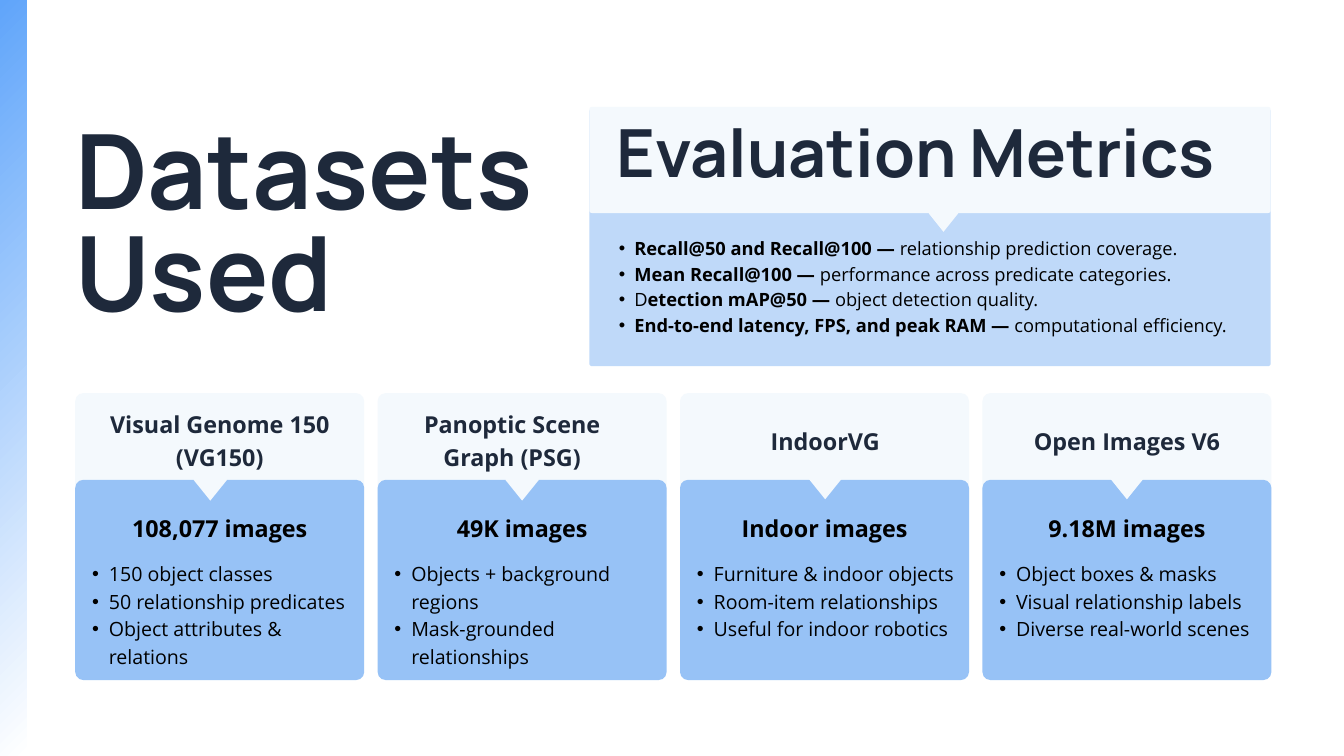
import lxml.etree
import pptx
import pptx.dml.color
import pptx.enum.shapes
import pptx.enum.text
import pptx.oxml.ns
import pptx.util
from pptx.util import Inches

COLORS = {
    "ink": "1E293B", "black": "000000", "pale": "F4F9FD",
    "card": "97C2F6", "metrics": "BFD9F9", "accent": "60A5FA", "white": "FFFFFF",
}
SHAPES = pptx.enum.shapes.MSO_SHAPE
ALIGN = pptx.enum.text.PP_ALIGN
TITLE = {"name": "Manrope", "size": 111.2, "bold": True, "color": "ink", "spacing": 108.9}
SUBTITLE = {**TITLE, "size": 71.1, "spacing": 69.7}
HEADING = {"name": "Open Sans", "size": 25, "bold": True, "color": "ink", "spacing": 35,
           "alignment": ALIGN.CENTER}
COUNT = {**HEADING, "color": "black"}
LIST = {"name": "Open Sans", "size": 21, "bold": False, "color": "black", "spacing": 29.4,
        "indent": 0.25}
METRICS = {**LIST, "size": 19.6, "spacing": 27.4, "indent": 0.23}

presentation = pptx.Presentation()
presentation.slide_width = Inches(20)
presentation.slide_height = Inches(11.25)
slide = presentation.slides.add_slide(presentation.slide_layouts.get_by_name("Comparison"))
title, *list_placeholders = slide.placeholders


def add_block(kind, left, top, width, height, color, radius=None):
    """Add a borderless filled shape, with its corner radius in inches."""
    shape = slide.shapes.add_shape(kind, Inches(left), Inches(top), Inches(width), Inches(height))
    shape.shadow.inherit = False
    shape.line.fill.background()
    shape.fill.solid()
    shape.fill.fore_color.rgb = pptx.dml.color.RGBColor.from_string(COLORS[color])
    if radius:
        shape.adjustments[0] = radius / min(width, height)
    return shape


def write_text(box, paragraphs, style, shape=None):
    """Write paragraphs, each a list of (text, bold) runs, in a new text box or a placeholder."""
    left, top, width, height = map(Inches, box)
    if shape is None:
        shape = slide.shapes.add_textbox(left, top, width, height)
    else:
        slide.shapes._spTree.append(shape._element)  # bring in front of the panels
        shape.left, shape.top, shape.width, shape.height = left, top, width, height
    frame_format = {
        "word_wrap": True, "auto_size": pptx.enum.text.MSO_AUTO_SIZE.NONE,
        "vertical_anchor": pptx.enum.text.MSO_ANCHOR.TOP,
        "margin_left": 0, "margin_top": 0, "margin_right": 0, "margin_bottom": 0,
    }
    for name, value in frame_format.items():
        setattr(shape.text_frame, name, value)

    for index, runs in enumerate(paragraphs):
        frame = shape.text_frame
        paragraph = frame.add_paragraph() if index else frame.paragraphs[0]
        if "indent" in style:
            properties = paragraph._p.get_or_add_pPr()
            properties.set("marL", str(Inches(2 * style["indent"])))
            properties.set("indent", str(-Inches(style["indent"])))
            bullet_font = lxml.etree.SubElement(properties, pptx.oxml.ns.qn("a:buFont"))
            bullet_font.set("typeface", "Arial")
            bullet = lxml.etree.SubElement(properties, pptx.oxml.ns.qn("a:buChar"))
            bullet.set("char", "•")
        paragraph_format = {
            "alignment": style.get("alignment", ALIGN.LEFT),
            "line_spacing": pptx.util.Pt(style["spacing"]),
            "space_before": 0, "space_after": 0,
        }
        for name, value in paragraph_format.items():
            setattr(paragraph, name, value)
        for text, bold in runs:
            run = paragraph.add_run()
            run.text = text
            font_format = {"name": style["name"], "size": pptx.util.Pt(style["size"]), "bold": bold}
            for name, value in font_format.items():
                setattr(run.font, name, value)
            run.font.color.rgb = pptx.dml.color.RGBColor.from_string(COLORS[style["color"]])


# Side band
band = add_block(SHAPES.RECTANGLE, 0, 0, 0.4, 11.25, "accent")
band.fill.gradient()
band.fill.gradient_angle = 315
for stop, color in zip(band.fill.gradient_stops, ("accent", "white")):
    stop.color.rgb = pptx.dml.color.RGBColor.from_string(COLORS[color])

write_text((1.12, 1.92, 7.14, 3.23), [[("Datasets Used", True)]], TITLE, title)

# Evaluation metrics
add_block(SHAPES.ROUNDED_RECTANGLE, 8.77, 1.62, 10.14, 3.83, "metrics", 0.04)
add_block(SHAPES.ROUNDED_RECTANGLE, 8.77, 1.59, 10.14, 1.58, "pale", 0.04)
add_block(SHAPES.DIAMOND, 13.82, 2.9, 0.44, 0.55, "pale")
write_text((9.18, 1.87, 9.31, 1.1), [[("Evaluation Metrics", True)]], SUBTITLE)
metrics = [
    [("Recall@50 and Recall@100 — ", True), ("relationship prediction coverage.", False)],
    [("Mean Recall@100 — ", True), ("performance across predicate categories.", False)],
    [("D", False), ("etection mAP@50 — ", True), ("object detection quality.", False)],
    [("End-to-end latency, FPS, and peak RAM — ", True), ("computational efficiency.", False)],
]
write_text((8.98, 3.48, 9.93, 1.5), metrics, METRICS)

# Dataset cards: heading, heading centre, heading lines, pointer centre (x, y), count, facts
datasets = [
    ("Visual Genome 150 (VG150)", 3.27, 2, (3.13, 7.14), "108,077 images",
     ["150 object classes", "50 relationship predicates", "Object attributes & relations"]),
    ("Panoptic Scene Graph (PSG)", 7.62, 2, (7.77, 7.14), "49K images",
     ["Objects + background regions", "Mask-grounded relationships"]),
    ("IndoorVG", 12.28, 1, (12.28, 7.12), "Indoor images",
     ["Furniture & indoor objects", "Room-item relationships", "Useful for indoor robotics"]),
    ("Open Images V6", 16.77, 1, (16.77, 7.12), "9.18M images",
     ["Object boxes & masks", "Visual relationship labels", "Diverse real-world scenes"]),
]
card_width = 4.3
for index, (heading, center, lines, pointer, count, facts) in enumerate(datasets):
    left = 1.12 + 4.5 * index
    add_block(SHAPES.ROUNDED_RECTANGLE, left, 5.85, card_width, 1.78, "pale", 0.12)
    add_block(SHAPES.ROUNDED_RECTANGLE, left, 7.14, card_width, 2.98, "card", 0.12)
    add_block(SHAPES.DIAMOND, pointer[0] - 0.25, pointer[1] - 0.31, 0.5, 0.62, "pale")
    heading_top = 6.04 if lines == 2 else 6.28
    write_text((center - 1.7, heading_top, 3.4, 0.47 * lines), [[(heading, True)]], HEADING)
    write_text((left + 0.8, 7.58, 2.7, 0.46), [[(count, True)]], COUNT)
    write_text((left, 8.31, card_width, 1.61), [[(fact, False)] for fact in facts], LIST,
               list_placeholders[index])

presentation.save("out.pptx")
